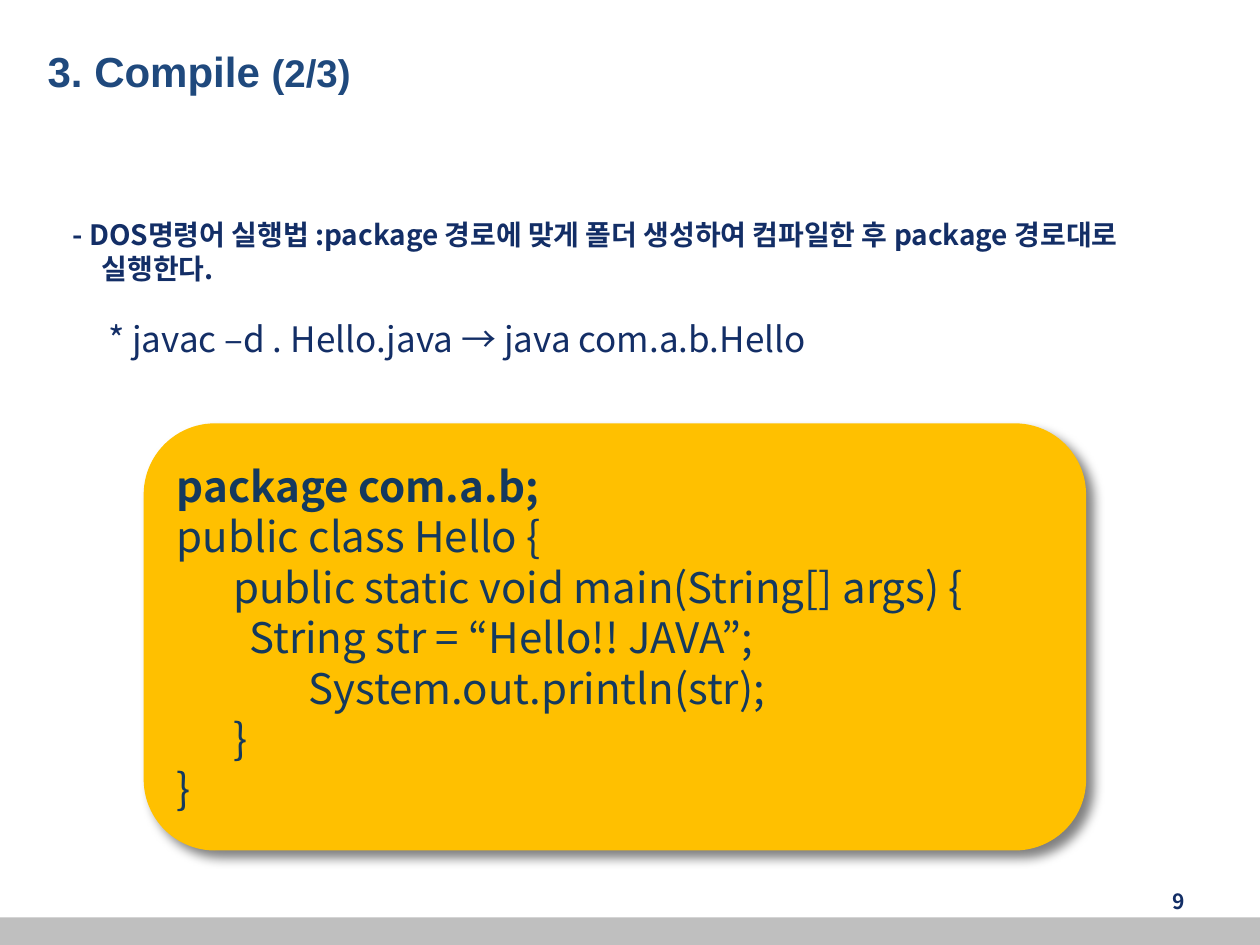
import lxml.etree
import pptx
import pptx.dml.color
import pptx.enum.shapes
import pptx.enum.text
import pptx.oxml.ns
import pptx.util

Inches = pptx.util.Inches
Pt = pptx.util.Pt
RGB = pptx.dml.color.RGBColor
Align = pptx.enum.text.PP_ALIGN
Anchor = pptx.enum.text.MSO_ANCHOR
Shape = pptx.enum.shapes.MSO_SHAPE
qn = pptx.oxml.ns.qn

NAVY = RGB(0x13, 0x2E, 0x66)
BLUE = RGB(0x1F, 0x49, 0x7D)
INK = RGB(0x14, 0x39, 0x5E)
GOLD = RGB(0xFF, 0xC0, 0x00)
GREY = RGB(0xBF, 0xBF, 0xBF)
BLACK = RGB(0, 0, 0)
SANS = "Noto Sans CJK KR"
LEADING = 1.2

CODE = [
    "package com.a.b;",
    "public class Hello {",
    "      public static void main(String[] args) {",
    "\t String str = “Hello!! JAVA”;",
    "              System.out.println(str);",
    "      }",
    "}",
]


def style(run, size, color, bold=False, face=SANS):
    run.font.name = face
    run.font.size = Pt(size)
    run.font.bold = bold
    run.font.color.rgb = color
    props = run.font._element
    lxml.etree.SubElement(props, qn("a:ea")).set("typeface", face)


def add_text(slide, box, anchor=Anchor.MIDDLE):
    frame = slide.shapes.add_textbox(*map(Inches, box)).text_frame
    frame.word_wrap = True
    frame.vertical_anchor = anchor
    return frame


def add_block(slide, shape, box, fill):
    block = slide.shapes.add_shape(shape, *map(Inches, box))
    block.shadow.inherit = False
    block.fill.solid()
    block.fill.fore_color.rgb = fill
    block.line.fill.background()
    return block


def add_shadow(block):
    """Cast a soft black shadow to the lower right."""
    effects = block._element.spPr.find(qn("a:effectLst"))
    shadow = lxml.etree.SubElement(effects, qn("a:outerShdw"))
    for name, value in (("blurRad", Pt(6)), ("dist", Pt(6)),
                        ("dir", 45 * 60000)):
        shadow.set(name, str(value))
    shadow.set("algn", "tl")
    color = lxml.etree.SubElement(shadow, qn("a:srgbClr"))
    color.set("val", str(BLACK))
    lxml.etree.SubElement(color, qn("a:alpha")).set("val", "50000")


def add_title(slide, box):
    para = add_text(slide, box).paragraphs[0]
    for text, size in (("3. Compile ", 24), ("(2/3)", 22)):
        run = para.add_run()
        run.text = text
        style(run, size, BLUE, True, "Arial")


def add_steps(slide, box):
    frame = add_text(slide, box, Anchor.TOP)
    rule = frame.paragraphs[0]
    rule.text = ("- DOS명령어 실행법 :package 경로에 맞게 폴더 생성하여 "
                 "컴파일한 후 package 경로대로 실행한다.")
    command = frame.add_paragraph()
    command.text = "* javac –d . Hello.java → java com.a.b.Hello"
    command.space_before = Pt(18.5)
    for para, size, left, first, bold in ((rule, 16, 0.38, -0.23, True),
                                          (command, 20, 0.43, 0, False)):
        para.line_spacing = Pt(size * LEADING)
        props = para._p.get_or_add_pPr()
        props.set("marL", str(Inches(left)))
        props.set("indent", str(Inches(first)))
        style(para.runs[0], size, NAVY, bold)


def add_code(slide, box):
    block = add_block(slide, Shape.ROUNDED_RECTANGLE, box, GOLD)
    add_shadow(block)
    frame = block.text_frame
    frame.word_wrap = True
    frame.vertical_anchor = Anchor.MIDDLE
    frame.text = "\n".join(CODE)
    for row, para in enumerate(frame.paragraphs):
        para.alignment = Align.LEFT
        para.line_spacing = Pt(24 * LEADING)
        style(para.runs[0], 24, INK, row == 0)


def add_number(slide, box):
    para = add_text(slide, box).paragraphs[0]
    para.text = "9"
    para.alignment = Align.RIGHT
    style(para.runs[0], 12, NAVY, True)


def main():
    deck = pptx.Presentation()
    deck.slide_width, deck.slide_height = Inches(10), Inches(7.5)
    slide = deck.slides.add_slide(deck.slide_layouts[6])
    add_number(slide, (7.17, 6.95, 2.33, 0.4))
    add_steps(slide, (0.33, 1.68, 8.8, 1.3))
    add_block(slide, Shape.RECTANGLE, (0, 7.28, 10, 0.22), GREY)
    add_code(slide, (1.14, 3.36, 7.48, 3.39))
    add_title(slide, (0.28, 0.13, 7.17, 0.87))
    deck.save("out.pptx")


if __name__ == "__main__":
    main()
